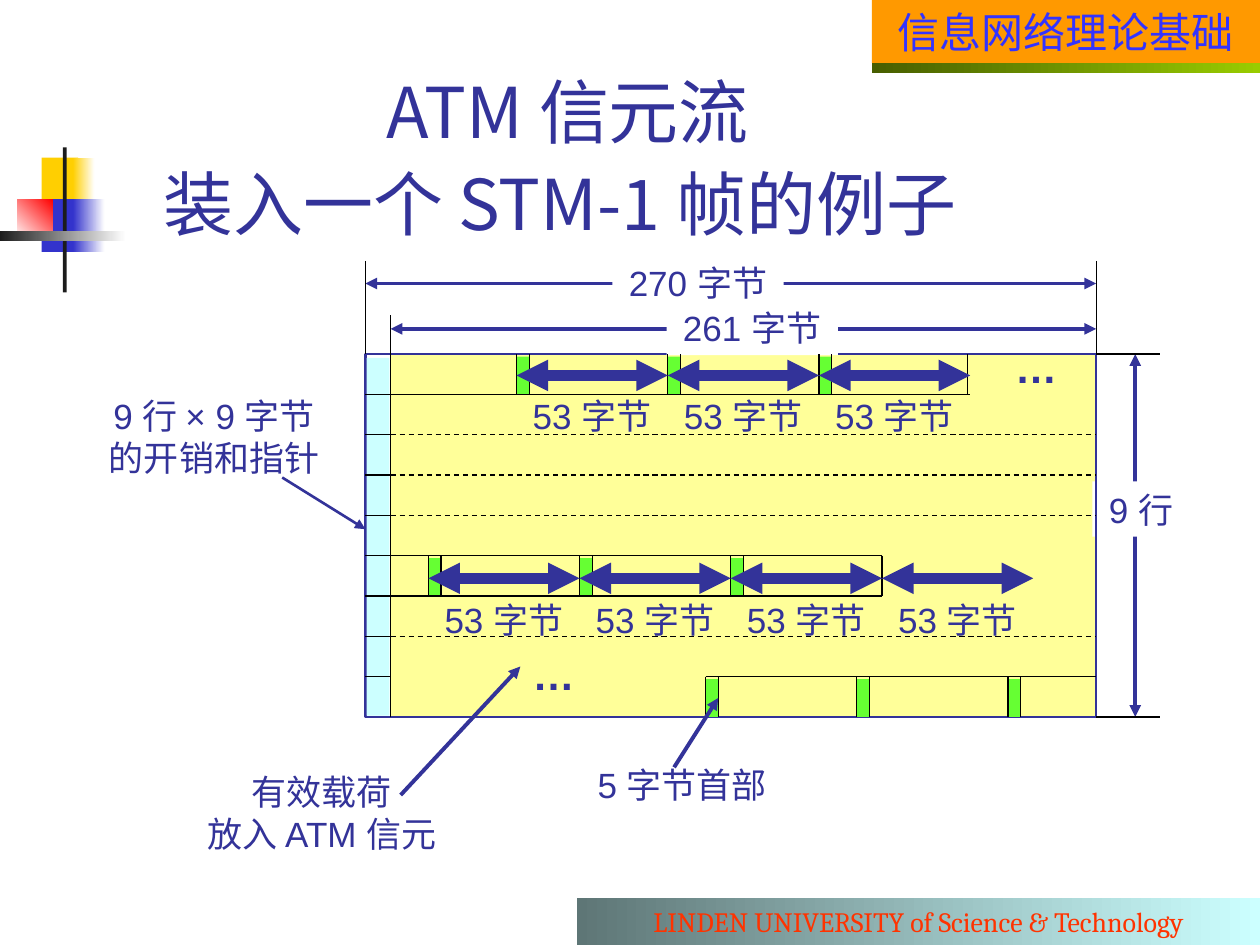
from lxml.etree import SubElement
from pptx import Presentation
from pptx.dml.color import RGBColor
from pptx.enum.dml import MSO_LINE
from pptx.enum.shapes import MSO_CONNECTOR, MSO_SHAPE
from pptx.enum.text import MSO_ANCHOR, PP_ALIGN
from pptx.oxml.ns import qn
from pptx.util import Inches, Pt

NAVY, BLACK, WHITE, GREEN = "333399", "000000", "FFFFFF", "66FF33"
rgb = RGBColor.from_string

prs = Presentation()
prs.slide_width, prs.slide_height = Inches(10), Inches(7.5)
s = prs.slides.add_slide(prs.slide_layouts[5])


def box(x, y, w, h, fill=None, text="", size=20, color=NAVY, font="Arial",
        bold=False, angle=0, border=None):
    """Rectangle with centred text; fill is None, a colour or a (start, end) gradient."""
    sp = s.shapes.add_shape(MSO_SHAPE.RECTANGLE, Inches(x), Inches(y), Inches(w), Inches(h))
    sp.shadow.inherit = False
    if fill is None:
        sp.fill.background()
    elif isinstance(fill, tuple):
        sp.fill.gradient()
        sp.fill.gradient_angle = angle
        for stop, c in zip(sp.fill.gradient_stops, fill):
            stop.color.rgb = rgb(c)
    else:
        sp.fill.solid()
        sp.fill.fore_color.rgb = rgb(fill)
    if border:
        sp.line.color.rgb = rgb(border[0])
        sp.line.width = Pt(border[1])
    else:
        sp.line.fill.background()
    if text:
        tf = sp.text_frame
        tf.word_wrap = False
        tf.vertical_anchor = MSO_ANCHOR.MIDDLE
        tf.text = text
        for p in tf.paragraphs:
            p.alignment = PP_ALIGN.CENTER
            p.font.size, p.font.name, p.font.bold = Pt(size), font, bold
            p.font.color.rgb = rgb(color)


def line(x1, y1, x2, y2, color=BLACK, width=0.75, dash=False, ends=()):
    """Straight line; ends names the arrowheads, headEnd before tailEnd."""
    cn = s.shapes.add_connector(MSO_CONNECTOR.STRAIGHT, Inches(x1), Inches(y1),
                                Inches(x2), Inches(y2))
    cn.line.color.rgb = rgb(color)
    cn.line.width = Pt(width)
    if dash:
        cn.line.dash_style = MSO_LINE.DASH
    for end in ends:
        SubElement(cn.line._get_or_add_ln(), qn("a:" + end), type="triangle")
    SubElement(cn._element.spPr, qn("a:effectLst"))


BOTH = ("headEnd", "tailEnd")
TAIL = ("tailEnd",)

# Corner ornament and banners
box(0.33, 1.25, 0.29, 0.38, "FFCF01")
box(0.58, 1.25, 0.17, 0.42, ("FFCF01", WHITE))
box(0.33, 1.58, 0.25, 0.42, "3333CC")
box(0.58, 1.58, 0.25, 0.42, ("3333CC", WHITE))
box(0.14, 1.58, 0.28, 0.33, (WHITE, "FF0000"), angle=45)
box(0.5, 1.17, 0.03, 1.15, "1C1C1C")
box(0, 1.83, 1, 0.08, ("1C1C1C", WHITE))
box(6.92, 0, 3.08, 0.5, "FF9900", "信息网络理论基础", 24, "3333FF", "Lato")
box(4.58, 7.13, 5.42, 0.37, ("5E7676", "CCFFFF"),
    "LINDEN UNIVERSITY of Science & Technology", 16, "FF3300", "Cambria")
box(6.92, 0.5, 3.08, 0.08, ("475E00", "99CC00"))

# Title
title = s.shapes.title
title.left, title.top, title.width, title.height = map(Inches, (0.01, 0.52, 8.99, 1.47))
tf = title.text_frame
tf.word_wrap = True
tf.vertical_anchor = MSO_ANCHOR.BOTTOM
tf.text = "ATM 信元流\v装入一个 STM-1 帧的例子 "
p = tf.paragraphs[0]
p.alignment, p.line_spacing = PP_ALIGN.CENTER, 1.1
p.font.size, p.font.name = Pt(40), "Noto Sans CJK SC"
p.font.color.rgb = rgb(NAVY)

# Frame: overhead column on the left, payload on the right, nine rows
LEFT, PAYLOAD, RIGHT = 2.9, 3.1, 8.7
PITCH, CELL, HEADER = 0.32, 1.2, 0.1
rows = [2.81 + PITCH * i for i in range(10)]
TOP, BOTTOM = rows[0], rows[-1]

box(PAYLOAD, TOP, RIGHT - PAYLOAD, BOTTOM - TOP, "FFFF99", border=(BLACK, 0.75))
line(9.01, TOP, 9.01, BOTTOM, NAVY, 2.25, ends=BOTH)
box(8.67, 3.82, 0.77, 0.44, WHITE, "9 行")
box(LEFT, TOP, RIGHT - LEFT, BOTTOM - TOP, border=(NAVY, 1.5))
box(2.91, 2.84, 0.18, 2.84, "CCFFFF")

# Width dimensions
line(LEFT, 2.25, RIGHT, 2.25, NAVY, 2.25, ends=BOTH)
box(4.86, 2.02, 1.36, 0.44, WHITE, "270 字节")
line(PAYLOAD, 2.61, RIGHT, 2.61, NAVY, 2.25, ends=BOTH)
box(5.29, 2.38, 1.36, 0.44, WHITE, "261 字节")

# Green cell headers: row, first cell
for row, start in ((0, 4.1), (5, 3.4), (8, 5.6)):
    for i in range(3):
        x, y = start + CELL * i, rows[row]
        box(x, y + 0.02, HEADER, PITCH - 0.02, GREEN)
        for edge in (x, x + HEADER):
            line(edge, y, edge, y + PITCH)

# Row lines
for y in rows[1:-1]:
    line(LEFT, y, PAYLOAD, y)
for row, x1, x2 in ((1, PAYLOAD, 7.7), (5, PAYLOAD, 7), (6, PAYLOAD, 7), (8, 5.6, RIGHT)):
    line(x1, rows[row], x2, rows[row])
for row in (2, 3, 4, 7):
    line(PAYLOAD, rows[row], RIGHT, rows[row], dash=True)

# Column ends and extension lines
line(PAYLOAD, TOP, PAYLOAD, BOTTOM)
for x, row in ((7.68, 0), (7, 5)):
    line(x, rows[row], x, rows[row + 1])
for x, y in ((LEFT, 2.07), (PAYLOAD, 2.5), (RIGHT, 2.07)):
    line(x, y, x, TOP)
for y in (TOP, BOTTOM):
    line(RIGHT, y, 9.21, y)

# Cell lengths: first cell, arrow height, label top, number of cells
for start, y, label_top, count in ((4.1, 2.98, 3.08, 3), (3.4, 4.59, 4.7, 4)):
    for i in range(count):
        x = start + CELL * i
        box(x, label_top, CELL, 0.44, text="53 字节")
        line(x, y, x + CELL, y, NAVY, 6, ends=BOTH)

for x, y in ((7.96, 2.66), (4.13, 5.1)):
    box(x, y, 0.53, 0.5, text="…", size=24, bold=True)

# Callouts
box(0.68, 3.08, 2.04, 0.77, text="9 行 × 9 字节\n的开销和指针")
line(2.24, 3.79, LEFT, 4.2, NAVY, 1.5, ends=TAIL)
box(4.61, 6.01, 1.61, 0.44, WHITE, "5 字节首部")
line(5.35, 6.09, 5.7, 5.54, NAVY, 2.25, ends=TAIL)
box(1.47, 6.06, 2.17, 0.77, WHITE, "有效载荷\n放入 ATM 信元")
line(3.18, 6.31, 4.13, 5.29, NAVY, 2.25, ends=TAIL)

prs.save("out.pptx")
